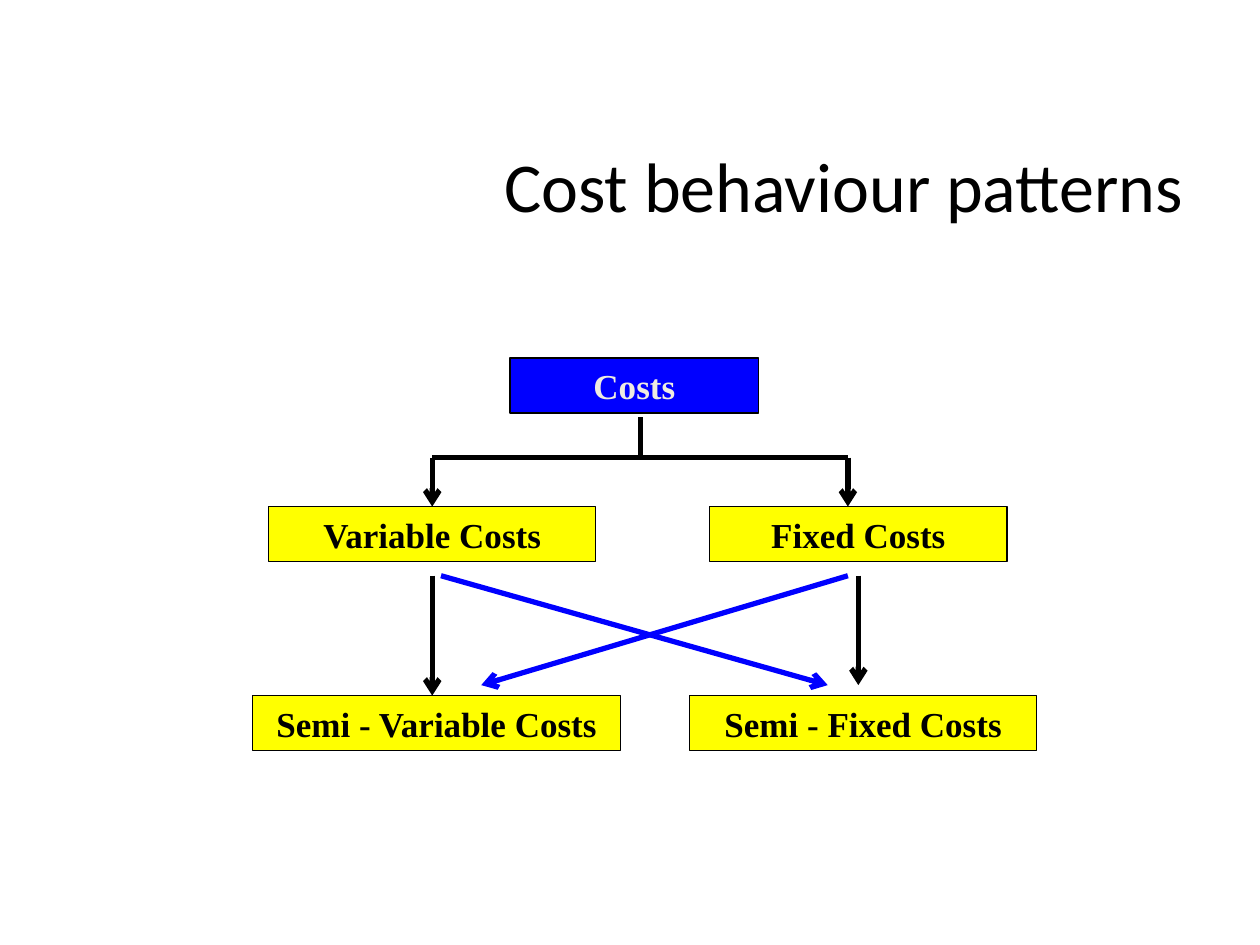
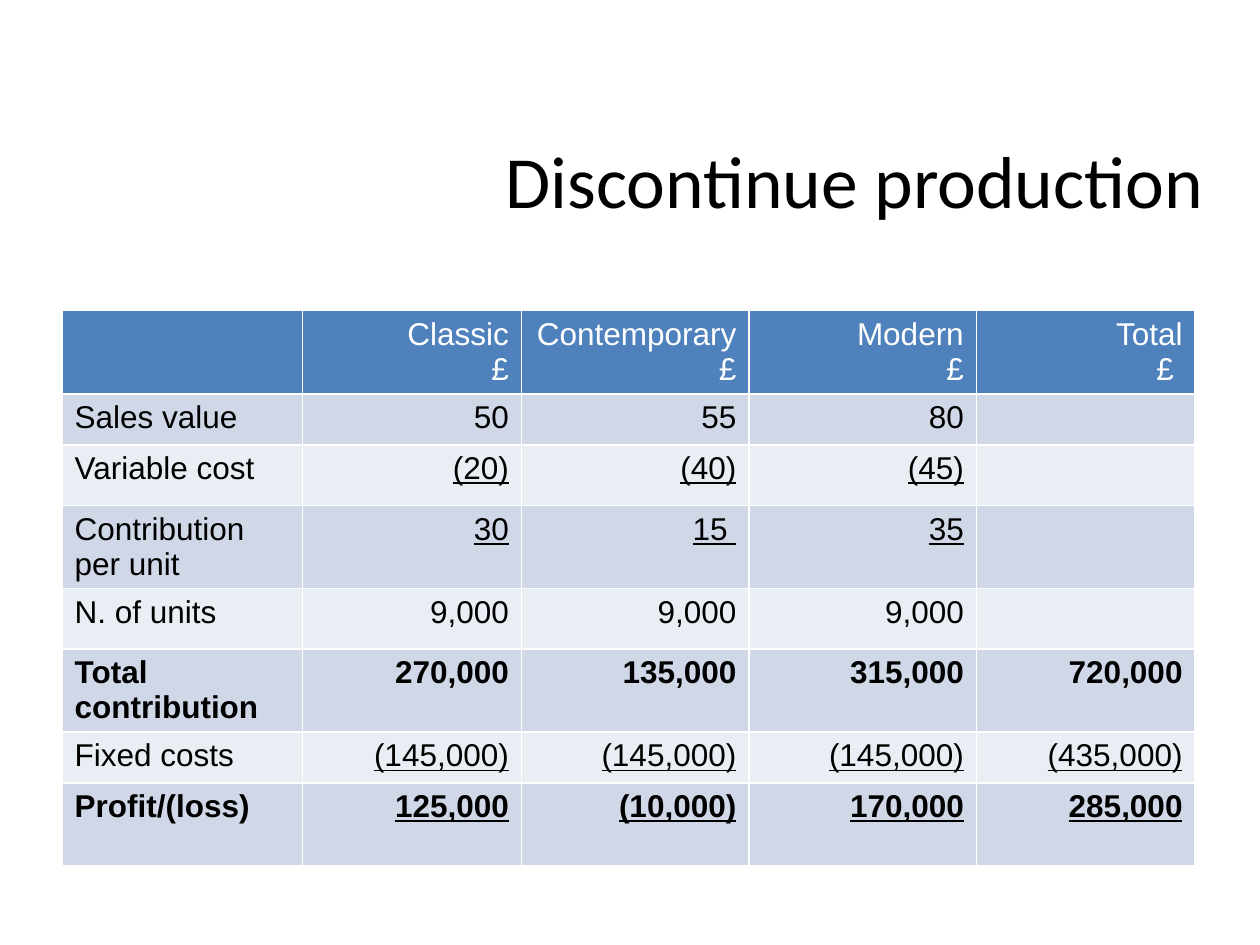
from lxml.etree import SubElement
from pptx import Presentation
from pptx.dml.color import RGBColor
from pptx.enum.shapes import MSO_CONNECTOR, MSO_SHAPE
from pptx.enum.text import MSO_ANCHOR, PP_ALIGN
from pptx.oxml.ns import qn
from pptx.util import Pt

BLACK, WHITE, BLUE, YELLOW = "000000", "FFFFFF", "0000FF", "FFFF00"
HEADER, BAND_DARK, BAND_LIGHT = "4F81BD", "D0D8E8", "E9EDF4"


def rgb(value):
    return RGBColor.from_string(value)


class Deck:
    """Holds the shared style and the current slide."""

    title_font = {"name": "Calibri", "bold": False}
    box_font = {"name": "Times New Roman", "size": Pt(20), "bold": True}
    cell_font = {"name": "Arial", "size": Pt(18)}

    def __init__(self):
        self.prs = Presentation()
        self.prs.slide_width, self.prs.slide_height = Pt(720), Pt(540)
        self.s = None

    def format(self, p, color, align, values):
        p.alignment = align
        p.font.color.rgb = rgb(color)
        for r in p.runs:
            r.font.color.rgb = rgb(color)
            for key, value in values.items():
                setattr(r.font, key, value)

    def slide(self, title, left, top, size):
        self.s = self.prs.slides.add_slide(self.prs.slide_layouts[5])
        sp = self.s.shapes.title
        sp.left, sp.top, sp.width, sp.height = Pt(left), Pt(top), Pt(430), Pt(90)
        tf = sp.text_frame
        tf.text, tf.vertical_anchor = title, MSO_ANCHOR.MIDDLE
        self.format(tf.paragraphs[0], BLACK, PP_ALIGN.LEFT,
                    {**self.title_font, "size": Pt(size)})

    def box(self, text, left, top, width, fill=YELLOW, color=BLACK):
        sp = self.s.shapes.add_shape(MSO_SHAPE.RECTANGLE, Pt(left), Pt(top),
                                     Pt(width), Pt(31.5))
        sp.shadow.inherit = False
        sp.fill.solid()
        sp.fill.fore_color.rgb = rgb(fill)
        sp.line.color.rgb, sp.line.width = rgb(BLACK), Pt(0.75)
        tf = sp.text_frame
        tf.text, tf.vertical_anchor = text, MSO_ANCHOR.MIDDLE
        self.format(tf.paragraphs[0], color, PP_ALIGN.CENTER, self.box_font)
        return sp

    def line(self, x1, y1, x2, y2, color=BLACK, arrow=True):
        cxn = self.s.shapes.add_connector(MSO_CONNECTOR.STRAIGHT, Pt(x1), Pt(y1),
                                          Pt(x2), Pt(y2))
        cxn.line.color.rgb, cxn.line.width = rgb(color), Pt(3)
        if arrow:
            SubElement(cxn.line._get_or_add_ln(), qn("a:tailEnd"), type="arrow")
        SubElement(cxn._element.spPr, qn("a:effectLst"))
        return cxn

    def cell(self, cell, text, fill, color, align, values):
        # Borders come before the fill in the cell properties
        tcPr = cell._tc.get_or_add_tcPr()
        for side in "LRTB":
            ln = SubElement(tcPr, qn(f"a:ln{side}"), w=str(Pt(1)))
            SubElement(SubElement(ln, qn("a:solidFill")), qn("a:srgbClr"), val=WHITE)
        cell.fill.solid()
        cell.fill.fore_color.rgb = rgb(fill)
        cell.text = text
        for p in cell.text_frame.paragraphs:
            self.format(p, color, align, {**self.cell_font, **values})

    def table(self, rows, left, top, widths, heights, bold_rows, underlined_rows):
        tbl = self.s.shapes.add_table(len(rows), len(widths), Pt(left), Pt(top),
                                      Pt(sum(widths)), Pt(sum(heights))).table
        for col, width in zip(tbl.columns, widths):
            col.width = Pt(width)
        for i, (row, height) in enumerate(zip(rows, heights)):
            tbl.rows[i].height = Pt(height)
            fill = (BAND_DARK if i % 2 else BAND_LIGHT) if i else HEADER
            for j, text in enumerate(row):
                self.cell(tbl.cell(i, j), text, fill, BLACK if i else WHITE,
                          PP_ALIGN.RIGHT if j else PP_ALIGN.LEFT,
                          {"bold": i in bold_rows,
                           "underline": j > 0 and i in underlined_rows})


def cost_patterns(deck):
    deck.slide("Cost behaviour patterns", 281, 60.5, 40)

    # Cost types
    deck.box("Costs", 291.5, 204.5, 142, BLUE, "EEECE1")
    variable = deck.box("Variable Costs", 153.5, 289.5, 187)
    deck.box("Fixed Costs", 405.5, 289.5, 170)
    deck.box("Semi - Variable Costs", 144.5, 397.5, 210)
    deck.box("Semi - Fixed Costs", 394, 397.5, 198.5)

    # Branch from costs to variable and fixed
    left, right, bar = 247, 484.5, 261.5
    deck.line(366, 238.5, 366, bar, arrow=False)
    deck.line(left, bar, right, bar, arrow=False)
    deck.line(right, bar, right, 289.5)
    deck.line(left, bar, left, 289.5).end_connect(variable, 0)

    # Arrows down and across to the mixed types
    start, end = 329, 391.5
    deck.line(left, start, left, 397.5)
    deck.line(252, start, 473, end, BLUE)
    deck.line(right, start, 275, end, BLUE)
    deck.line(490.5, start, 490.5, end)


def discontinue_production(deck):
    deck.slide("Discontinue production", 281.5, 57.5, 42)
    rows = [
        ["", "Classic\n£", "Contemporary\n£", "Modern\n£", "Total\n£ "],
        ["Sales value", "50", "55", "80", ""],
        ["Variable cost", "(20)", "(40)", "(45)", ""],
        ["Contribution\nper unit", "30", "15 ", "35", ""],
        ["N. of units", "9,000", "9,000", "9,000", ""],
        ["Total contribution", "270,000", "135,000", "315,000", "720,000"],
        ["Fixed costs", "(145,000)", "(145,000)", "(145,000)", "(435,000)"],
        ["Profit/(loss)", "125,000", "(10,000)", "170,000", "285,000"],
    ]
    deck.table(rows, 35.5, 177.5, [137.5, 125, 130, 130, 125],
               [47.5, 29, 34.5, 47.5, 34.5, 47.5, 29, 47.5],
               bold_rows={5, 7}, underlined_rows={2, 3, 6, 7})


def main():
    deck = Deck()
    cost_patterns(deck)
    discontinue_production(deck)
    deck.prs.save("out.pptx")


if __name__ == "__main__":
    main()
